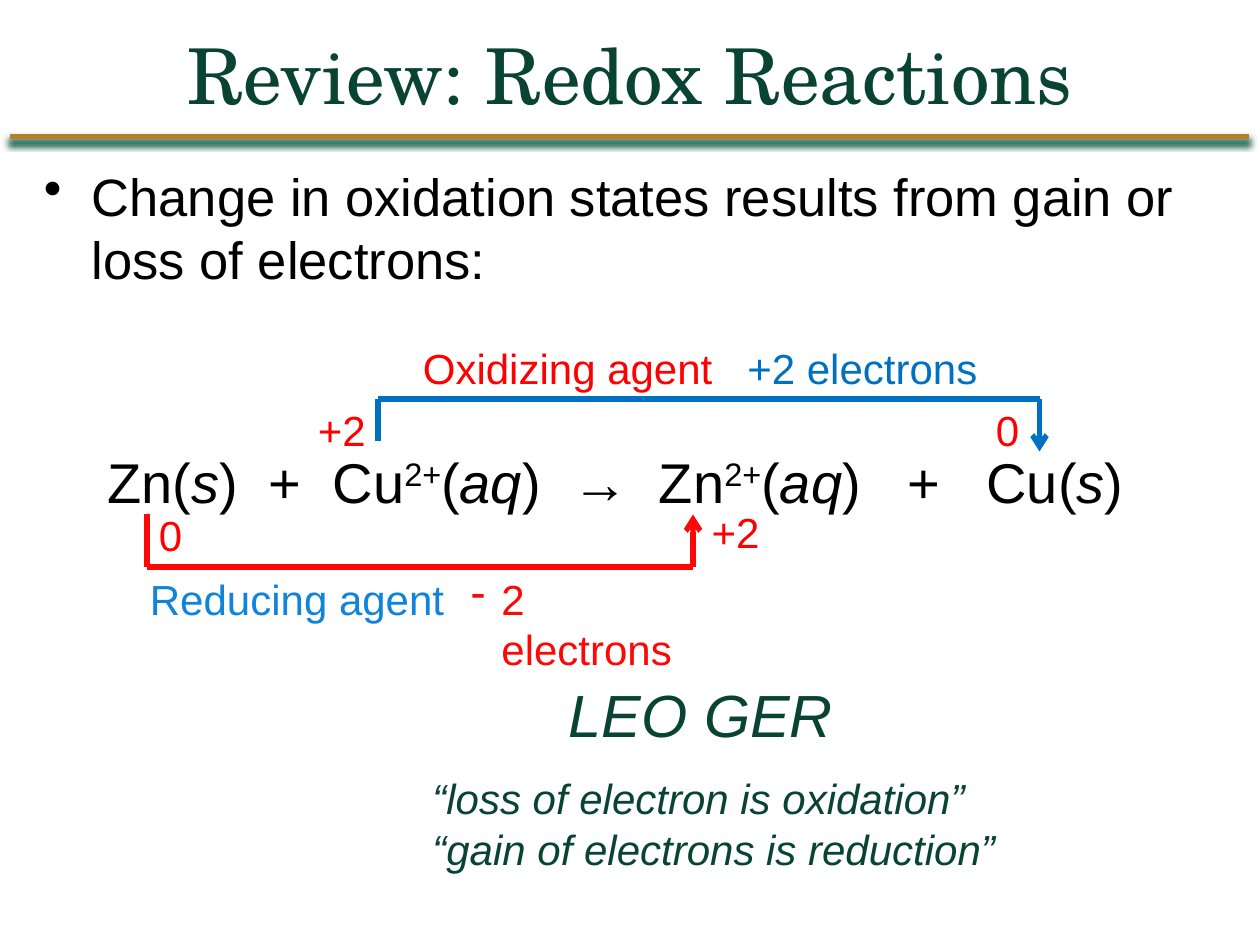
from lxml import etree
from pptx import Presentation
from pptx import util as u
from pptx.dml.color import RGBColor
from pptx.enum import shapes, text
from pptx.oxml import ns

BLACK = RGBColor(0x00, 0x00, 0x00)
GREEN = RGBColor(0x08, 0x43, 0x33)
GOLD = RGBColor(0xB8, 0x7F, 0x24)
RED = RGBColor(0xFF, 0x00, 0x00)
BRIGHT_RED = RGBColor(0xFD, 0x07, 0x07)
BLUE = RGBColor(0x00, 0x70, 0xC0)
LIGHT_BLUE = RGBColor(0x10, 0x83, 0xDB)
SHADOW = "0A5441"
TOP, MIDDLE = text.MSO_ANCHOR.TOP, text.MSO_ANCHOR.MIDDLE

presentation = Presentation()
presentation.slide_width, presentation.slide_height = u.Inches(10), u.Inches(7.5)
slide = presentation.slides.add_slide(presentation.slide_layouts[5])
CELL = presentation.slide_width / 120


def write(lines, area, size=24, color=BLACK, font="Arial", italic=False, center=False,
          anchor=TOP, wrap=True, bullet=None, hang=0, tabs=(), inset=0.1, shape=None):
    left, top, width, height = [round(cells * CELL) for cells in area]
    if shape is None:
        shape = slide.shapes.add_textbox(left, top, width, height)
    shape.left, shape.top, shape.width, shape.height = left, top, width, height
    frame = shape.text_frame
    frame.word_wrap = wrap
    frame.auto_size = text.MSO_AUTO_SIZE.NONE
    frame.vertical_anchor = anchor
    frame.margin_left = u.Inches(inset)
    for number, line in enumerate(lines):
        paragraph = frame.add_paragraph() if number else frame.paragraphs[0]
        paragraph.alignment = text.PP_ALIGN.CENTER if center else text.PP_ALIGN.LEFT
        properties = paragraph._p.get_or_add_pPr()
        if bullet:
            properties.set("marL", str(u.Inches(hang)))
            properties.set("indent", str(-u.Inches(hang)))
            etree.SubElement(properties, ns.qn("a:buChar"), char=bullet)
        if tabs:
            tab_list = etree.SubElement(properties, ns.qn("a:tabLst"))
            for stop in tabs:
                etree.SubElement(tab_list, ns.qn("a:tab"), pos=str(u.Inches(stop)), algn="l")
        for words, style in ([(line, "")] if isinstance(line, str) else line):
            run = paragraph.add_run()
            run.text = words
            run.font.name, run.font.size = font, u.Pt(size)
            run.font.color.rgb = color
            run.font.italic = italic or style == "italic"
            if style == "super":
                run.font._element.set("baseline", "30000")


def draw_line(start, end, color, arrow=False):
    points = [round(cells * CELL) for cells in (*start, *end)]
    line = slide.shapes.add_connector(shapes.MSO_CONNECTOR.STRAIGHT, *points)
    line.line.color.rgb = color
    line.line.width = u.Pt(3)
    if arrow:
        etree.SubElement(line.line._get_or_add_ln(), ns.qn("a:tailEnd"), type="arrow")
    return etree.SubElement(line._element.spPr, ns.qn("a:effectLst"))


write(["Review: Redox Reactions"], (0, 2, 120, 12), size=44, color=GREEN,
      font="TeX Gyre Schola", center=True, shape=slide.shapes.title)
effects = draw_line((1, 13), (119, 13), GOLD)
shadow = etree.SubElement(effects, ns.qn("a:outerShdw"), blurRad=str(u.Pt(4)),
                          dist=str(u.Pt(3)), dir=str(105 * 60000), algn="ctr", rotWithShape="0")
etree.SubElement(shadow, ns.qn("a:srgbClr"), val=SHADOW)

write(["Change in oxidation states results from gain or loss of electrons:"],
      (3, 15, 113, 14), size=30, bullet="•", hang=0.38)

brackets = [
    (BRIGHT_RED, [(14, 49), (14, 54), (66, 54), (66, 49)]),
    (BLUE, [(36, 42), (36, 38), (99, 38), (99, 43)]),
]
for color, corners in brackets:
    for index in range(3):
        draw_line(corners[index], corners[index + 1], color, arrow=index == 2)

equation = [
    ("Zn(", ""), ("s", "italic"), (")\t+\tCu", ""), ("2+", "super"),
    ("(", ""), ("aq", "italic"), (")\t→\tZn", ""), ("2+", "super"),
    ("(", ""), ("aq", "italic"), (")\t+\tCu(", ""), ("s", "italic"), (")", ""),
]
write([equation], (3, 42, 115, 7.7), size=32, inset=0.6,
      tabs=(1.28, 1.79, 3.69, 4.38, 6.35, 6.98))

write(["Oxidizing agent"], (39.1, 32, 40.9, 6), color=RED)
write(["+2 electrons"], (70, 32, 24.5, 6), color=BLUE, wrap=False)
write(["Reducing agent"], (13.1, 54, 31.9, 6), color=LIGHT_BLUE)
write(["2 electrons"], (43.7, 54, 23.3, 6), color=BRIGHT_RED, bullet="-", hang=0.24)

oxidation_states = [("+2", 66.5, 47.6, 7.1), ("0", 13.9, 47.9, 4.7),
                    ("0", 93.6, 37.9, 4.7), ("+2", 29, 37.9, 7.1)]
for state, left, top, width in oxidation_states:
    write([state], (left, top, width, 6), color=RED, center=True, anchor=MIDDLE, wrap=False)

write(["LEO GER"], (53, 64, 33, 8), size=34, color=GREEN, italic=True)
write(["“loss of electron is oxidation”", "“gain of electrons is reduction”"],
      (40, 73, 58, 10.9), color=GREEN, italic=True)

presentation.save("out.pptx")
